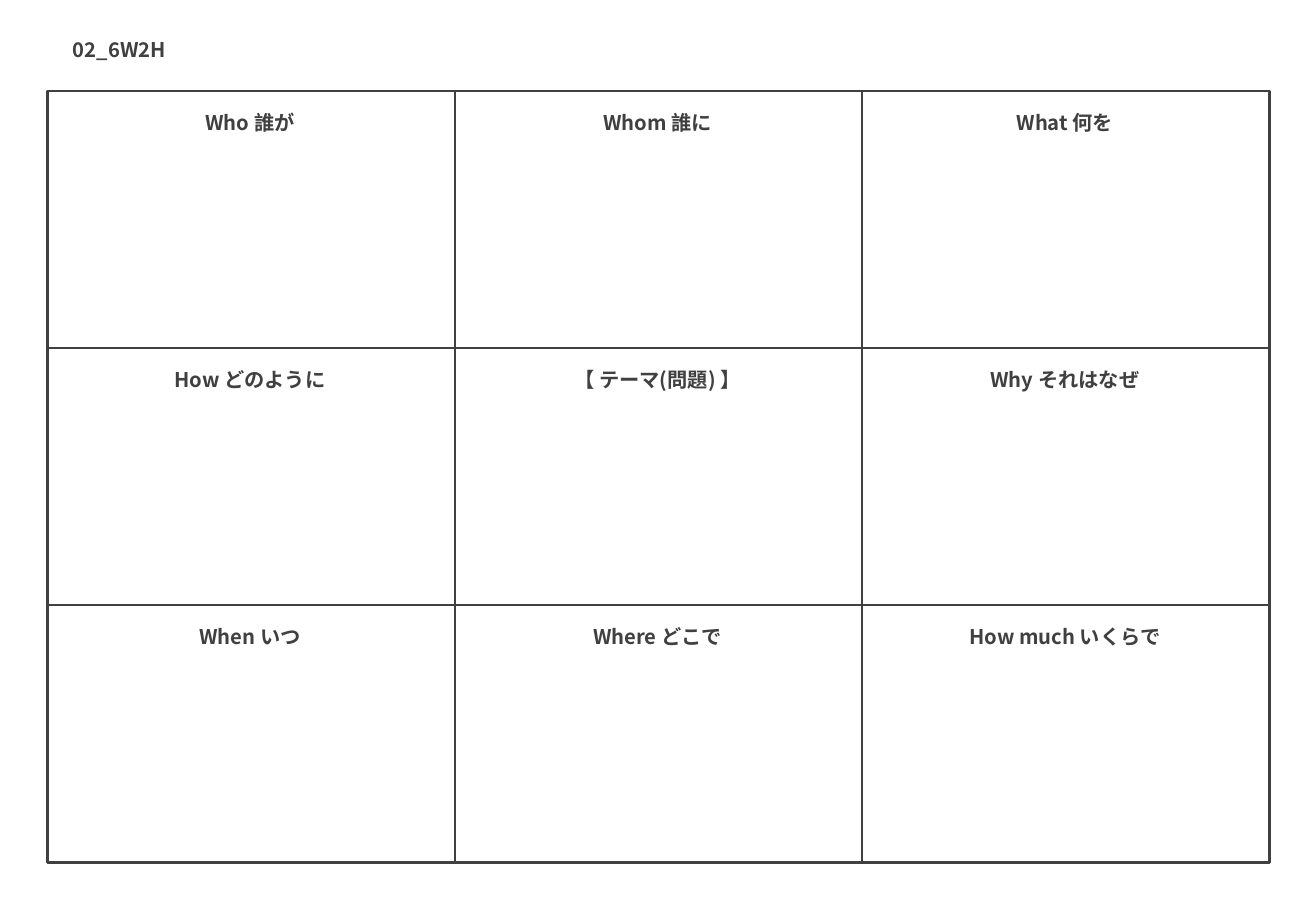
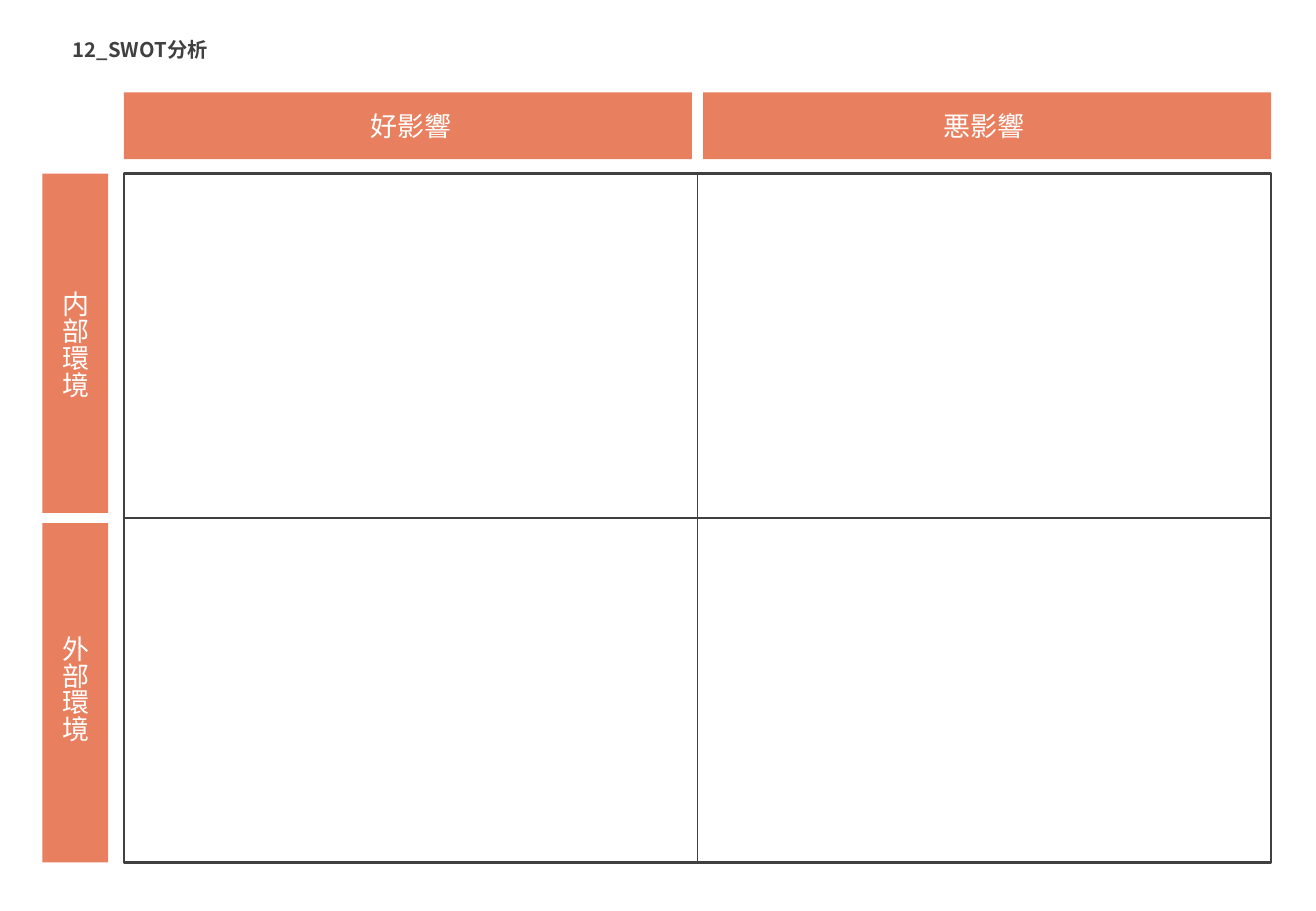
from dataclasses import dataclass

import pptx
import pptx.dml.color
import pptx.enum.shapes
import pptx.enum.text
import pptx.oxml.ns
import pptx.util
from lxml import etree

Inches = pptx.util.Inches
Pt = pptx.util.Pt
ALIGN = pptx.enum.text.PP_ALIGN
ANCHOR = pptx.enum.text.MSO_ANCHOR
AUTO_SIZE = pptx.enum.text.MSO_AUTO_SIZE
RECTANGLE = pptx.enum.shapes.MSO_SHAPE.RECTANGLE
STRAIGHT = pptx.enum.shapes.MSO_CONNECTOR.STRAIGHT
qn = pptx.oxml.ns.qn

# Shared look
FONT = "Noto Sans CJK JP"
INK = "404040"
WHITE = "FFFFFF"
ORANGE = "E8805F"
TOP, LEFT, BOTTOM, RIGHT = range(4)
FRAME_FORMAT = {"word_wrap": True, "vertical_anchor": ANCHOR.TOP,
                "auto_size": AUTO_SIZE.SHAPE_TO_FIT_TEXT}
TITLE_FORMAT = {**FRAME_FORMAT, "word_wrap": False}
BAND_FORMAT = {**TITLE_FORMAT, "vertical_anchor": ANCHOR.MIDDLE}


@dataclass
class Box:
    """A rectangle in inches."""
    x: float
    y: float
    w: float
    h: float

    def lengths(self) -> list:
        return [Inches(v) for v in (self.x, self.y, self.w, self.h)]

    def cell(self, row: int, col: int, rows: int, cols: int) -> "Box":
        w, h = self.w / cols, self.h / rows
        return Box(self.x + col * w, self.y + row * h, w, h)

    def centred(self, w: float, h: float) -> "Box":
        return Box(self.x + (self.w - w) / 2, self.y + (self.h - h) / 2, w, h)


@dataclass
class Band:
    """A coloured heading along one side of the matrix."""
    text: str
    box: Box
    vertical: bool = False


def rgb(color: str) -> pptx.dml.color.RGBColor:
    return pptx.dml.color.RGBColor.from_string(color)


def apply(target, values: dict) -> None:
    for name, value in values.items():
        setattr(target, name, value)


def write(tf, text: str, frame: dict, paragraph: dict,
          size: float = 12, bold: bool = True, color: str = INK) -> None:
    apply(tf, frame)
    p = tf.paragraphs[0]
    apply(p, paragraph)
    r = p.add_run()
    r.text = text
    apply(r.font, {"name": FONT, "size": Pt(size), "bold": bold})
    r.font.color.rgb = rgb(color)
    etree.SubElement(r.font._element, qn("a:ea"), typeface=FONT)


def add_slide(prs, title: str):
    s = prs.slides.add_slide(prs.slide_layouts[5])
    sp = s.shapes.title
    sp.left, sp.top, sp.width, sp.height = Box(0.5, 0.26, 1.4, 0.3).lengths()
    write(sp.text_frame, title, TITLE_FORMAT, {"alignment": ALIGN.LEFT})
    return s


def add_rect(s, box: Box, fill: str, line: str = ""):
    sp = s.shapes.add_shape(RECTANGLE, *box.lengths())
    sp.shadow.inherit = False
    sp.fill.solid()
    sp.fill.fore_color.rgb = rgb(fill)
    if line:
        sp.line.color.rgb = rgb(line)
        sp.line.width = Pt(1.5)
    else:
        sp.line.fill.background()
    return sp


def add_line(s, x1: float, y1: float, x2: float, y2: float,
             color: str = INK, width: float = 1):
    ends = [Inches(v) for v in (x1, y1, x2, y2)]
    line = s.shapes.add_connector(STRAIGHT, *ends)
    line.line.color.rgb = rgb(color)
    line.line.width = Pt(width)
    etree.SubElement(line._element.spPr, qn("a:effectLst"))
    return line


def add_grid(s, box: Box, rows: int, cols: int) -> None:
    """Draw a frame with its dividers; a middle divider joins the frame."""
    frame = add_rect(s, box, WHITE, INK)
    right, bottom = box.x + box.w, box.y + box.h
    dividers = []
    for col in range(1, cols):
        x = box.x + box.w * col / cols
        dividers.append((add_line(s, x, box.y, x, bottom),
                         col * 2 == cols, TOP, BOTTOM))
    for row in range(1, rows):
        y = box.y + box.h * row / rows
        dividers.append((add_line(s, box.x, y, right, y),
                         row * 2 == rows, LEFT, RIGHT))
    for line, is_middle, begin, end in dividers:
        if is_middle:
            line.begin_connect(frame, begin)
            line.end_connect(frame, end)


def add_band(s, band: Band) -> None:
    add_rect(s, band.box, ORANGE)
    size = (0.51, 1.1) if band.vertical else (0.96, 0.41)
    sp = s.shapes.add_textbox(*band.box.centred(*size).lengths())
    write(sp.text_frame, band.text, BAND_FORMAT, {"alignment": ALIGN.CENTER},
          size=16, bold=False, color=WHITE)
    if band.vertical:
        sp.text_frame._txBody.bodyPr.set("vert", "eaVert")


def build_6w2h(prs) -> None:
    labels = [
        ["Who 誰が", "Whom 誰に", "What 何を"],
        ["How どのように", "【 テーマ(問題) 】", "Why それはなぜ"],
        ["When いつ", "Where どこで", "How much いくらで"],
    ]
    s = add_slide(prs, "02_6W2H")
    grid = Box(0.39, 0.75, 10.06, 6.35)
    add_grid(s, grid, 3, 3)

    # One heading at the top of each cell
    for row, texts in enumerate(labels):
        for col, text in enumerate(texts):
            cell = grid.cell(row, col, 3, 3)
            box = Box(cell.x - 0.01, cell.y + 0.07, cell.w, 0.34)
            sp = s.shapes.add_textbox(*box.lengths())
            write(sp.text_frame, text, FRAME_FORMAT,
                  {"alignment": ALIGN.CENTER, "line_spacing": 1.2})


def build_swot(prs) -> None:
    s = add_slide(prs, "12_SWOT分析")
    grid = Box(1.02, 1.43, 9.44, 5.67)
    add_grid(s, grid, 2, 2)

    # Bands above the columns and beside the rows
    header = Box(grid.x, 0.76, grid.w, 0.55)
    sidebar = Box(0.35, grid.y, 0.54, grid.h)
    bands = [Band(text, header.cell(0, i, 1, 2))
             for i, text in enumerate(["好影響", "悪影響"])]
    bands += [Band(text, sidebar.cell(i, 0, 2, 1), vertical=True)
              for i, text in enumerate(["内部環境", "外部環境"])]
    for band in bands:
        add_band(s, band)

    # White gaps between neighbouring bands
    mid_x, mid_y = grid.x + grid.w / 2, grid.y + grid.h / 2
    add_line(s, mid_x, 0.66, mid_x, 1.36, WHITE, 6)
    add_line(s, 0.28, mid_y, 0.97, mid_y, WHITE, 6)


def main() -> None:
    prs = pptx.Presentation()
    prs.slide_width, prs.slide_height = Inches(10.83), Inches(7.5)
    build_6w2h(prs)
    build_swot(prs)
    prs.save("out.pptx")


if __name__ == "__main__":
    main()
